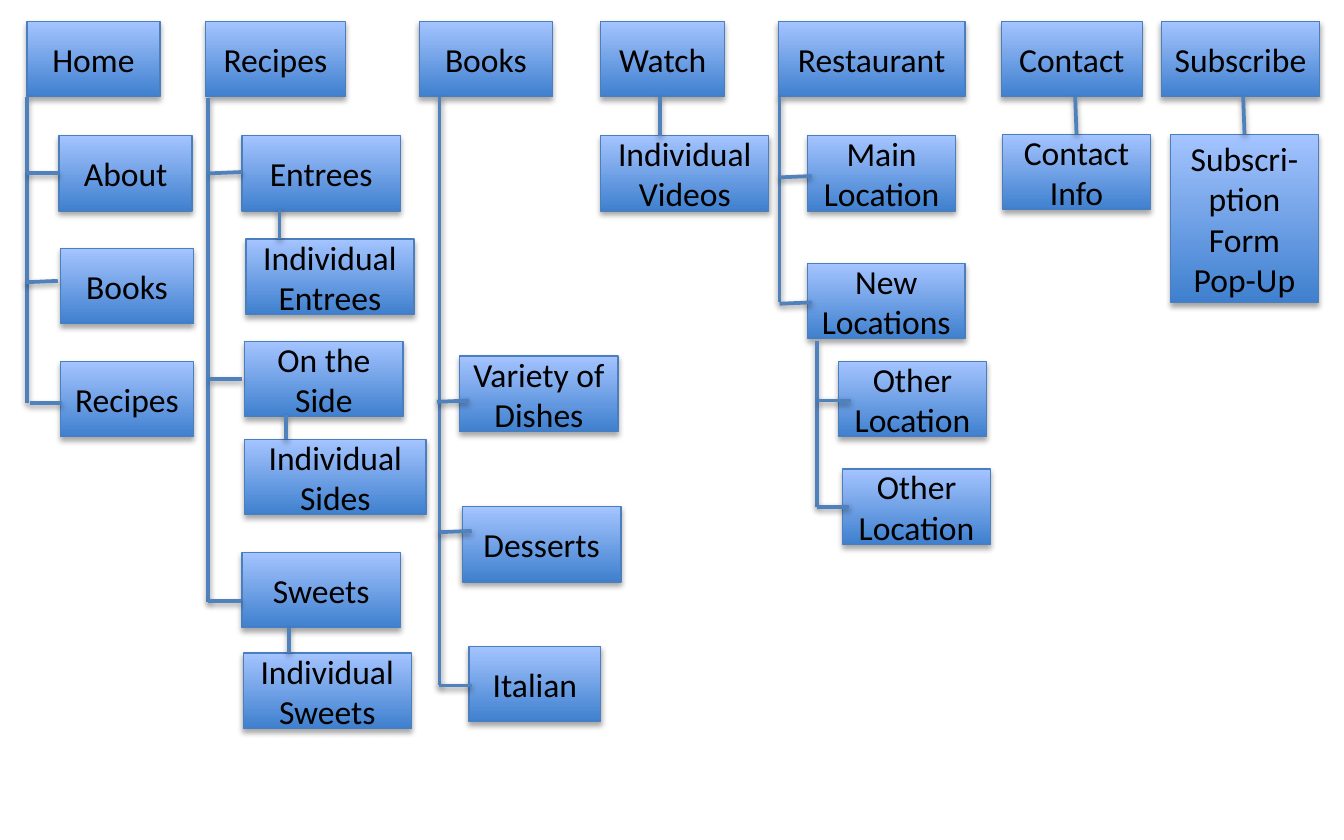
from lxml import etree
from pptx import Presentation, util as u
from pptx.dml.color import RGBColor
from pptx.enum import shapes, text
from pptx.oxml.ns import qn

COLORS = {"bottom": "3F80CE", "top": "A4C4FF", "border": "4B7EBC",
          "line": "4F81BD", "text": "000000", "shadow": "000000"}
BOX_HEIGHT = 0.56
HEADER_TOP = 0.16
STUB_LENGTH = 0.24

# Site sections: left, width, name, pages as (left, top, width, name)
SECTIONS = [
    (0.2, 0.99, "Home", [
        (0.44, 1.01, 0.99, "About"), (0.45, 1.85, 0.99, "Books"),
        (0.45, 2.69, 0.99, "Recipes")]),
    (1.53, 1.04, "Recipes", [
        (1.8, 1.01, 1.18, "Entrees"), (1.83, 1.78, 1.25, "Individual Entrees"),
        (1.82, 2.54, 1.18, "On the Side"), (1.82, 3.27, 1.35, "Individual Sides"),
        (1.8, 4.11, 1.18, "Sweets"), (1.81, 4.86, 1.25, "Individual Sweets")]),
    (3.12, 0.99, "Books", [
        (3.42, 2.65, 1.18, "Variety of Dishes"), (3.44, 3.77, 1.18, "Desserts"),
        (3.49, 4.81, 0.98, "Italian")]),
    (4.47, 0.92, "Watch", [(4.47, 1.01, 1.25, "Individual Videos")]),
    (5.79, 1.39, "Restaurant", [
        (6.01, 1.01, 1.1, "Main Location"), (6.01, 1.96, 1.17, "New Locations"),
        (6.24, 2.69, 1.1, "Other Location"), (6.27, 3.49, 1.1, "Other Location")]),
    (7.45, 1.05, "Contact", [(7.46, 1, 1.1, "Contact Info")]),
    (8.64, 1.18, "Subscribe", [(8.71, 1, 1.1, "Subscri-ption Form Pop-Up")]),
]
TALL_BOXES = {"Subscri-ption Form Pop-Up": 1.25}

# Trunks: x, top, bottom, stubs as (left, start y, end y)
TRUNKS = [
    (0.2, 0.72, 3, [(0.2, 1.29, 1.29), (0.19, 2.1, 2.09), (0.22, 3, 3)]),
    (1.55, 0.73, 4.48, [(1.56, 1.29, 1.28), (1.56, 2.82, 2.82), (1.55, 4.47, 4.47)]),
    (3.27, 0.72, 5.1, [(3.25, 2.99, 2.98), (3.27, 3.96, 3.95), (3.27, 5.1, 5.1)]),
    (5.8, 0.72, 2.25, [(5.8, 1.32, 1.31), (5.8, 2.26, 2.25)]),
    (6.08, 2.54, 3.77, [(6.09, 2.98, 2.98), (6.08, 3.77, 3.77)]),
]
# Direct links from a page to the one below: start x, top, end x, bottom
LINKS = [(2.08, 1.56, 2.08, 1.78), (2.13, 3.09, 2.13, 3.27),
         (2.15, 4.67, 2.15, 4.86), (4.91, 0.72, 4.91, 1.01),
         (8, 0.72, 8.01, 1), (9.25, 0.72, 9.26, 1)]


def color(name):
    return RGBColor.from_string(COLORS[name])


def add_shadow(shape, opacity, distance):
    properties = shape._element.spPr
    effects = properties.find(qn("a:effectLst"))
    if effects is None:
        effects = etree.SubElement(properties, qn("a:effectLst"))
    shadow = etree.SubElement(effects, qn("a:outerShdw"), blurRad=str(u.Pt(3.1)),
                              dist=str(u.Pt(distance)), dir="5400000", rotWithShape="0")
    tint = etree.SubElement(shadow, qn("a:srgbClr"), val=COLORS["shadow"])
    etree.SubElement(tint, qn("a:alpha"), val=str(opacity * 1000))


def add_box(left, top, width, label):
    height = TALL_BOXES.get(label, BOX_HEIGHT)
    shape = slide.shapes.add_shape(
        shapes.MSO_SHAPE.RECTANGLE, *map(u.Inches, (left, top, width, height)))
    shape.fill.gradient()
    shape.fill.gradient_angle = 90
    for stop, name in zip(shape.fill.gradient_stops, ("bottom", "top")):
        stop.color.rgb = color(name)
    shape.line.color.rgb = color("border")
    shape.line.width = u.Pt(0.75)
    shape.shadow.inherit = False
    add_shadow(shape, 35, 1.8)
    frame = shape.text_frame
    frame.word_wrap = True
    frame.vertical_anchor = text.MSO_ANCHOR.MIDDLE
    paragraph = frame.paragraphs[0]
    paragraph.alignment = text.PP_ALIGN.CENTER
    run = paragraph.add_run()
    run.text = label
    run.font.name = "Calibri"
    run.font.size = u.Pt(18)
    run.font.color.rgb = color("text")


def add_line(*ends):
    line = slide.shapes.add_connector(
        shapes.MSO_CONNECTOR.STRAIGHT, *map(u.Inches, ends))
    line.line.color.rgb = color("line")
    line.line.width = u.Pt(2)
    add_shadow(line, 38, 1.6)


presentation = Presentation()
presentation.slide_width = u.Inches(10)
presentation.slide_height = u.Inches(6.25)
slide = presentation.slides.add_slide(presentation.slide_layouts[6])

# Section headers and their pages
for left, width, name, pages in SECTIONS:
    add_box(left, HEADER_TOP, width, name)
    for page in pages:
        add_box(*page)

# Tree lines
for x, top, bottom, stubs in TRUNKS:
    add_line(x, top, x, bottom)
    for left, start, end in stubs:
        add_line(left, start, left + STUB_LENGTH, end)
for link in LINKS:
    add_line(*link)

presentation.save("out.pptx")
